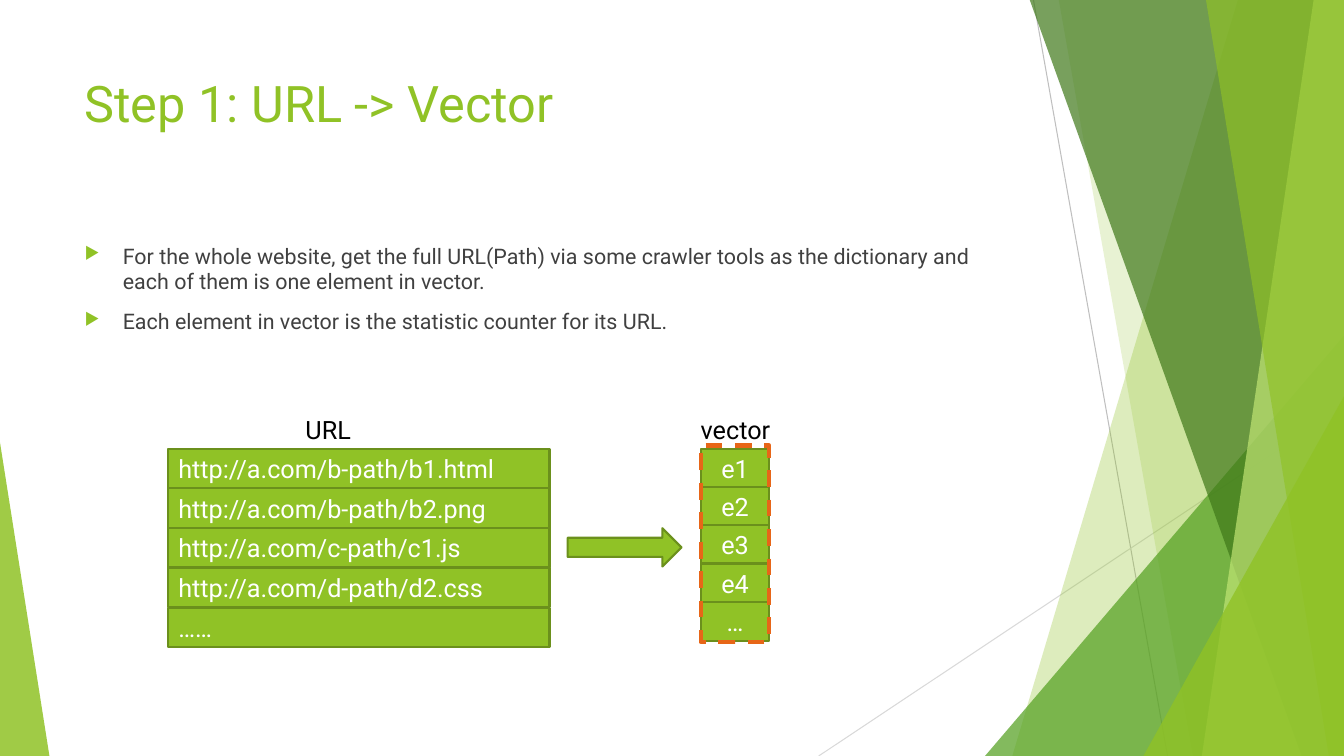
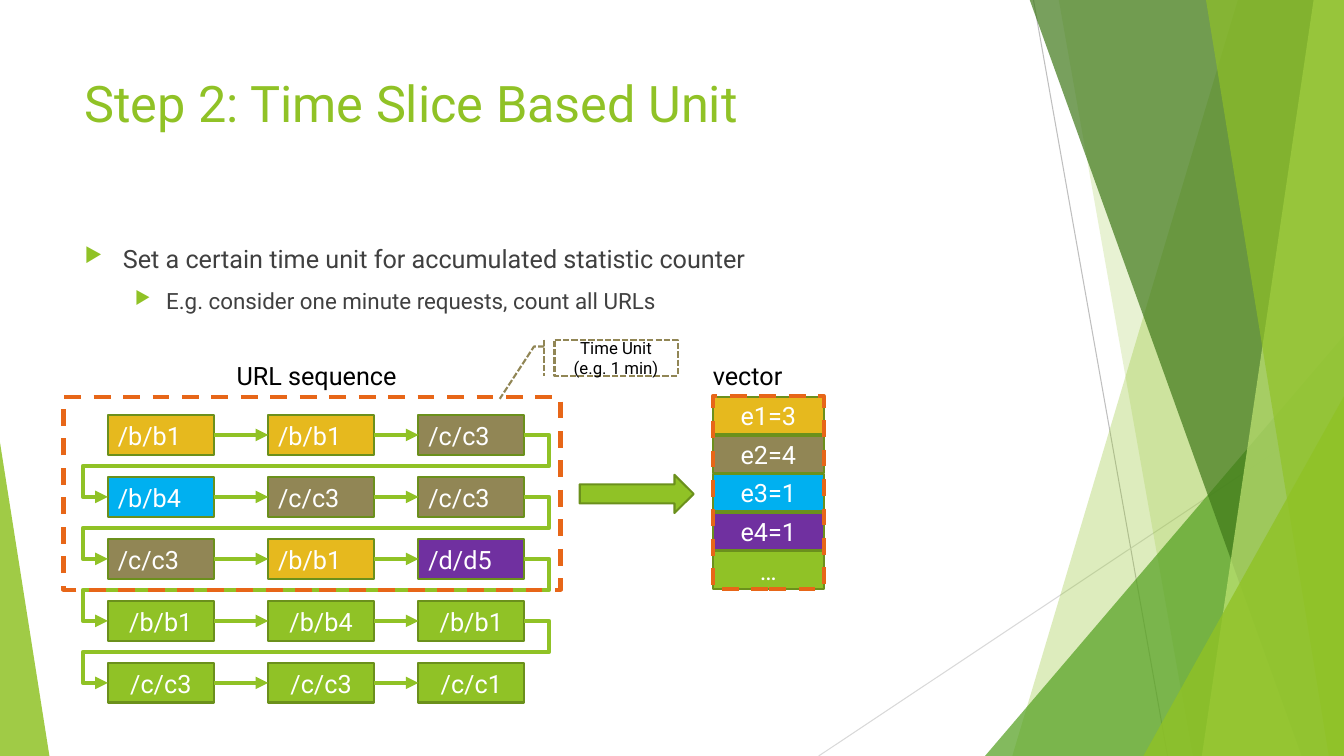
from pptx import Presentation
from pptx.dml.color import RGBColor
from pptx.enum.dml import MSO_LINE
from pptx.enum.shapes import MSO_CONNECTOR, MSO_SHAPE
from pptx.enum.text import MSO_ANCHOR, PP_ALIGN
from pptx.oxml.ns import qn
from pptx.util import Inches, Pt
from lxml import etree

RECT, TRI, ARROW = MSO_SHAPE.RECTANGLE, MSO_SHAPE.ISOSCELES_TRIANGLE, MSO_SHAPE.RIGHT_ARROW
CALLOUT = MSO_SHAPE.LINE_CALLOUT_2_BORDER_AND_ACCENT_BAR
STRAIGHT, ELBOW = MSO_CONNECTOR.STRAIGHT, MSO_CONNECTOR.ELBOW
DASH, DOTS = MSO_LINE.DASH, MSO_LINE.SQUARE_DOT
LEFT, CENTER = PP_ALIGN.LEFT, PP_ALIGN.CENTER
TOP, MIDDLE = MSO_ANCHOR.TOP, MSO_ANCHOR.MIDDLE

FONT = "Roboto"
WIDE, HIGH = 13.33, 7.5
HEX = {
    "lime": "90C226", "edge": "6B901C", "leaf": "54A021", "moss": "3F7819",
    "pale": "C0E474", "gray": "BFBFBF", "mist": "D9D9D9", "text": "404040",
    "black": "000000", "white": "FFFFFF", "orange": "E76618",
    "gold": "E6B91E", "khaki": "918655", "blue": "00B0F0", "violet": "7030A0",
}

# Slanted bands: top x, bottom x, colour, opacity
BANDS = [
    (12.28, 10.04, "lime", 30), (10.5, 11.83, "lime", 20),
    (10.21, 12.91, "moss", 70), (13.03, 11.92, "pale", 70),
    (11.96, 13.18, "lime", 65),
]
SIDE, INDENTS = 0.74, [(0.38, -0.38), (0.81, -0.31)]


def color(name):
    return RGBColor.from_string(HEX[name])


def add_xml(parent, tag, **attrs):
    return etree.SubElement(parent, qn(tag), attrs)


def write(shape, text, size=18, ink="white", align=CENTER, anchor=MIDDLE):
    """Add one paragraph to a shape and return it."""
    frame = shape.text_frame
    frame.word_wrap = True
    frame.vertical_anchor = anchor
    para = frame.paragraphs[0]
    if para.text:
        para = frame.add_paragraph()
    para.alignment = align
    run = para.add_run()
    run.text = text
    run.font.name, run.font.size = FONT, Pt(size)
    run.font.color.rgb = color(ink)
    return para


def paint(shape, fill=None, line=None, width=1.5, dash=None, alpha=None):
    shape.shadow.inherit = False
    if fill:
        shape.fill.solid()
        shape.fill.fore_color.rgb = color(fill)
    else:
        shape.fill.background()
    if alpha:
        tint = shape.element.spPr.find(".//" + qn("a:srgbClr"))
        add_xml(tint, "a:alpha", val=str(alpha * 1000))
    if line:
        shape.line.color.rgb = color(line)
        shape.line.width = Pt(width)
        if dash:
            shape.line.dash_style = dash
    else:
        shape.line.fill.background()
    return shape


def draw(slide, kind, box, **look):
    shape = slide.shapes.add_shape(kind, *map(Inches, box))
    return paint(shape, **look)


def label(slide, box, text, **form):
    area = slide.shapes.add_textbox(*map(Inches, box))
    return area, write(area, text, **form)


def link(slide, kind, ends, ink, width):
    line = slide.shapes.add_connector(kind, *map(Inches, ends))
    line.line.color.rgb = color(ink)
    line.line.width = Pt(width)
    add_xml(line.element.spPr, "a:effectLst")
    return line


def decor(slide):
    """Draw the facets behind every slide."""
    link(slide, STRAIGHT, (10.25, 0, 11.58, HIGH), "gray", 0.75)
    link(slide, STRAIGHT, (WIDE, 4.03, 8.12, HIGH), "mist", 0.75)

    def band(top, foot, fill, alpha):
        pen = slide.shapes.build_freeform(Inches(top), Inches(-0.01))
        rest = [(WIDE, -0.01), (WIDE, HIGH), (foot, HIGH)]
        pen.add_line_segments([(Inches(x), Inches(y)) for x, y in rest])
        paint(pen.convert_to_shape(), fill=fill, alpha=alpha)

    def corner(left, top, width, tip, fill, alpha):
        box = (left, top, width, HIGH - top)
        draw(slide, TRI, box, fill=fill, alpha=alpha).adjustments[0] = tip

    for spot in BANDS[:2]:
        band(*spot)
    corner(9.77, 3.33, 3.56, 1, "leaf", 72)
    for spot in BANDS[2:]:
        band(*spot)
    corner(11.34, 3.93, 1.99, 1, "lime", 80)
    corner(0, 4.39, 0.49, 0, "lime", 85)


def bullets(slide, items):
    area = slide.shapes.add_textbox(*map(Inches, (SIDE, 2.36, 9.4, 0.91)))
    for text, size, level in items:
        para = write(area, text, size=size, ink="text", align=LEFT, anchor=TOP)
        para.level = level
        para.space_before = Pt(10)
        props = para._p.get_or_add_pPr()
        left, hang = INDENTS[level]
        props.set("marL", str(Inches(left)))
        props.set("indent", str(Inches(hang)))
        add_xml(add_xml(props, "a:buClr"), "a:srgbClr", val=HEX["lime"])
        add_xml(props, "a:buSzPct", val="80000")
        add_xml(props, "a:buChar", char="▶")


def start(deck, title, items):
    """Make a slide with its facets, title and bullets."""
    slide = deck.slides.add_slide(deck.slide_layouts[6])
    decor(slide)
    label(slide, (SIDE, 0.67, 9.4, 1.44), title,
          size=36, ink="lime", align=LEFT, anchor=TOP)
    bullets(slide, items)
    return slide


def cell(slide, box, text, fill="lime", align=CENTER):
    shape = draw(slide, RECT, box, fill=fill, line="edge")
    write(shape, text, align=align)
    return shape


def stack(slide, box, tall, items, align=CENTER):
    """Spread cells of one height evenly down a box."""
    left, top, width, height = box
    step = (height - tall) / (len(items) - 1)
    for i, (text, fill) in enumerate(items):
        cell(slide, (left, top + i * step, width, tall), text, fill, align)


def dashes(slide, box):
    draw(slide, RECT, box, line="orange", width=3, dash=DASH)


def arrow(slide, left, top):
    draw(slide, ARROW, (left, top, 1.13, 0.38), fill="lime", line="edge")


def join(slide, a, b, wrap=False):
    """Point from one cell to the next, or around to the next row."""
    line = link(slide, ELBOW if wrap else STRAIGHT, (0, 0, 1, 1), "lime", 3)
    line.begin_connect(a, 3)
    line.end_connect(b, 1)
    add_xml(line.line._get_or_add_ln(), "a:tailEnd", type="triangle")
    if wrap:
        geom = line.element.spPr.find(qn("a:prstGeom"))
        geom.set("prst", "bentConnector5")
        guides = geom.find(qn("a:avLst"))
        if guides is None:
            guides = add_xml(geom, "a:avLst")
        for i, val in enumerate((-6000, 50000, 106000), 1):
            add_xml(guides, "a:gd", name=f"adj{i}", fmla=f"val {val}")


def flow(slide, left, top, rows):
    """Lay out the request cells row by row and chain them."""
    cells = []
    for i, row in enumerate(rows):
        for shift, (text, fill) in zip((0, 1.59, 3.08), row):
            box = (left + shift, top + i * 0.615, 1.05, 0.39)
            align = CENTER if fill == "lime" else LEFT
            cells.append(cell(slide, box, text, fill, align))
    for i, (a, b) in enumerate(zip(cells, cells[1:]), 1):
        join(slide, a, b, wrap=i % 3 == 0)


def note(slide, box, lines):
    shape = draw(slide, CALLOUT, box, fill="white", line="khaki", dash=DOTS)
    for i, val in enumerate((0.188, -0.083, 0.188, -0.167, 1.631, -0.445)):
        shape.adjustments[i] = val
    for text in lines:
        write(shape, text, size=12, ink="black")


def step_one(deck):
    slide = start(deck, "Step 1: URL -> Vector", [
        ("For the whole website, get the full URL(Path) via some crawler tools "
         "as the dictionary and each of them is one element in vector.", 15.3, 0),
        ("Each element in vector is the statistic counter for its URL.", 15.3, 0),
    ])
    urls = ["http://a.com/b-path/b1.html", "http://a.com/b-path/b2.png",
            "http://a.com/c-path/c1.js", "http://a.com/d-path/d2.css", "……"]
    stack(slide, (1.67, 4.45, 3.78, 1.97), 0.39, [(u, "lime") for u in urls], LEFT)
    parts = ["e1", "e2", "e3", "e4", "…"]
    stack(slide, (6.95, 4.45, 0.68, 1.91), 0.39, [(e, "lime") for e in parts])
    dashes(slide, (6.95, 4.42, 0.68, 1.95))
    label(slide, (6.76, 4.06, 1.07, 0.4), "vector", ink="black", anchor=TOP)
    label(slide, (2.72, 4.06, 1.07, 0.4), "URL", ink="black", anchor=TOP)
    arrow(slide, 5.63, 5.24)


def step_two(deck):
    slide = start(deck, "Step 2: Time Slice Based Unit", [
        ("Set a certain time unit for accumulated statistic counter", 18, 0),
        ("E.g. consider one minute requests, count all URLs", 16, 1),
    ])
    # Counted vector
    stack(slide, (7.07, 3.94, 1.1, 1.9), 0.37, [
        ("e1=3", "gold"), ("e2=4", "khaki"), ("e3=1", "blue"),
        ("e4=1", "violet"), ("…", "lime")])
    dashes(slide, (7.07, 3.93, 1.1, 1.91))
    label(slide, (6.88, 3.53, 1.07, 0.4), "vector", ink="black", anchor=TOP)
    label(slide, (1.89, 3.53, 2.5, 0.4), "URL sequence", ink="black", anchor=TOP)
    arrow(slide, 5.75, 4.71)
    # Request sequence and its time unit
    b1, c3 = ("/b/b1", "gold"), ("/c/c3", "khaki")
    later = [["/b/b1", "/b/b4", "/b/b1"], ["/c/c3", "/c/c3", "/c/c1"]]
    flow(slide, 1.07, 4.12, [
        [b1, b1, c3], [("/b/b4", "blue"), c3, c3], [c3, b1, ("/d/d5", "violet")],
        *[[(text, "lime") for text in row] for row in later]])
    dashes(slide, (0.63, 3.94, 4.93, 1.91))
    note(slide, (5.5, 3.37, 1.22, 0.36), ["Time Unit", "(e.g. 1 min)"])


def main():
    deck = Presentation()
    deck.slide_width, deck.slide_height = Inches(WIDE), Inches(HIGH)
    step_one(deck)
    step_two(deck)
    deck.save("out.pptx")


if __name__ == "__main__":
    main()
